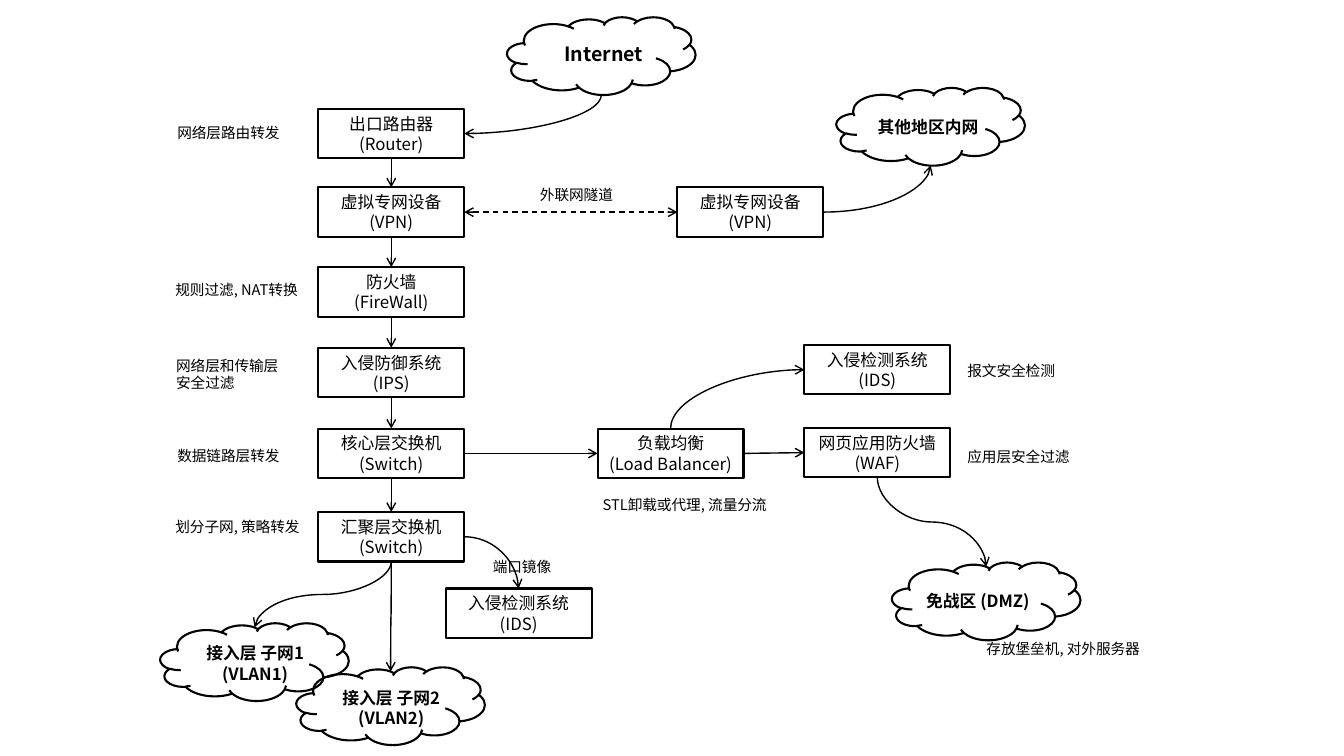
from lxml import etree
from pptx import Presentation
from pptx.dml.color import RGBColor
from pptx.enum.dml import MSO_LINE
from pptx.enum.shapes import MSO_CONNECTOR, MSO_SHAPE
from pptx.enum.text import MSO_ANCHOR, PP_ALIGN
from pptx.oxml.ns import qn
from pptx.util import Cm, Pt

RECTANGLE, CLOUD = MSO_SHAPE.RECTANGLE, MSO_SHAPE.CLOUD
STRAIGHT, CURVE = MSO_CONNECTOR.STRAIGHT, MSO_CONNECTOR.CURVE
LEFT, CENTER = PP_ALIGN.LEFT, PP_ALIGN.CENTER
MIDDLE = MSO_ANCHOR.MIDDLE
DASH = MSO_LINE.DASH
TOP_SIDE, LEFT_SIDE, BOTTOM_SIDE, RIGHT_SIDE = range(4)
QUARTER_TURN = "5400000"


class NetworkDiagram:
    font_name = "Noto Sans CJK SC"
    colors = {"ink": "000000"}

    def __init__(self, slide):
        self.slide = slide
        self.ink = RGBColor.from_string(self.colors["ink"])

    def set_text(self, shape, text, size, bold=False, align=LEFT):
        text_frame = shape.text_frame
        text_frame.word_wrap = True
        text_frame.text = text
        for paragraph in text_frame.paragraphs:
            paragraph.alignment = align
            for run in paragraph.runs:
                run.font.size = Pt(size)
                run.font.bold = bold
                run.font.color.rgb = self.ink
                run.font.name = self.font_name
                properties = run._r.get_or_add_rPr()
                etree.SubElement(properties, qn("a:ea"), typeface=self.font_name)

    def outline(self, kind, left, top, width, height):
        shape = self.slide.shapes.add_shape(kind, Cm(left), Cm(top), Cm(width), Cm(height))
        shape.shadow.inherit = False
        shape.fill.background()
        shape.line.color.rgb = self.ink
        shape.line.width = Pt(1.5)
        return shape

    def device(self, text, left, top):
        shape = self.outline(RECTANGLE, left, top, 3.68, 1.25)
        shape.text_frame.vertical_anchor = MIDDLE
        self.set_text(shape, text, 12, align=CENTER)
        return shape

    def label(self, text, left, top, width=4.11, height=0.73, size=10.5, bold=False, align=LEFT):
        box = self.slide.shapes.add_textbox(Cm(left), Cm(top), Cm(width), Cm(height))
        self.set_text(box, text, size, bold, align)
        return box

    def cloud(self, text, left, top, text_left, text_top, text_height=0.76, size=12, align=LEFT):
        shape = self.outline(CLOUD, left, top, 4.75, 1.96)
        caption = self.label(text, text_left, text_top, 3.76, text_height, size, True, align)
        self.slide.shapes.add_group_shape([shape, caption])
        return shape

    def finish(self, connector, both_ends=False):
        connector.line.color.rgb = self.ink
        connector.line.width = Pt(1)
        line = connector.line._get_or_add_ln()
        for end in ("a:headEnd", "a:tailEnd") if both_ends else ("a:tailEnd",):
            etree.SubElement(line, qn(end), type="arrow")
        etree.SubElement(connector._element.spPr, qn("a:effectLst"))

    def arrow(self, source, source_side, target, target_side, dashed=False):
        connector = self.slide.shapes.add_connector(STRAIGHT, 0, 0, 0, 0)
        connector.begin_connect(source, source_side)
        connector.end_connect(target, target_side)
        if dashed:
            connector.line.dash_style = DASH
        self.finish(connector, both_ends=dashed)

    def side_point(self, shape, side):
        middle_x = shape.left + shape.width // 2
        middle_y = shape.top + shape.height // 2
        top_inset = Cm(0.11) if shape.auto_shape_type == CLOUD else 0
        return (
            (middle_x, shape.top + top_inset),
            (shape.left, middle_y),
            (middle_x, shape.top + shape.height),
            (shape.left + shape.width, middle_y),
        )[side]

    def curve(self, source, source_side, target, target_side):
        x1, y1 = self.side_point(source, source_side)
        x2, y2 = self.side_point(target, target_side)
        starts_vertical = source_side in (TOP_SIDE, BOTTOM_SIDE)
        ends_vertical = target_side in (TOP_SIDE, BOTTOM_SIDE)
        if starts_vertical:
            middle_x, middle_y = (x1 + x2) // 2, (y1 + y2) // 2
            half_x, half_y = (y2 - y1) // 2, (x1 - x2) // 2
            x1, y1 = middle_x - half_x, middle_y - half_y
            x2, y2 = middle_x + half_x, middle_y + half_y
        connector = self.slide.shapes.add_connector(CURVE, x1, y1, x2, y2)
        properties = connector._element.spPr
        if starts_vertical:
            properties.find(qn("a:xfrm")).set("rot", QUARTER_TURN)
        if starts_vertical != ends_vertical:
            properties.find(qn("a:prstGeom")).set("prst", "curvedConnector2")
        self.finish(connector)


def main():
    presentation = Presentation()
    presentation.slide_width, presentation.slide_height = Cm(33.87), Cm(19.05)
    diagram = NetworkDiagram(presentation.slides.add_slide(presentation.slide_layouts[6]))

    internet = diagram.cloud("Internet", 12.78, 0.43, 13.97, 0.94, 0.86, 14)
    other_region = diagram.cloud("其他地区内网", 21.08, 2.21, 21.87, 2.82)
    dmz = diagram.cloud("免战区 (DMZ)", 22.48, 14.17, 23.09, 14.76)
    vlan1 = diagram.cloud("接入层 子网1 (VLAN1)", 4.04, 15.7, 4.55, 16.08, 1.27, align=CENTER)
    vlan2 = diagram.cloud("接入层 子网2 (VLAN2)", 7.47, 16.81, 7.98, 17.2, 1.27, align=CENTER)

    backbone = [
        diagram.device(text, 8.02, top)
        for text, top in (
            ("出口路由器 (Router)", 2.74),
            ("虚拟专网设备\n(VPN)", 4.72),
            ("防火墙\n(FireWall)", 6.73),
            ("入侵防御系统\n(IPS)", 8.76),
            ("核心层交换机\n(Switch)", 10.8),
            ("汇聚层交换机\n(Switch)", 12.9),
        )
    ]
    router, vpn, firewall, ips, core_switch, access_switch = backbone
    remote_vpn = diagram.device("虚拟专网设备\n(VPN)", 17.07, 4.72)
    balancer = diagram.device("负载均衡\n(Load Balancer)", 15.06, 10.8)
    waf = diagram.device("网页应用防火墙\n(WAF)", 20.27, 10.78)
    ids = diagram.device("入侵检测系统\n(IDS)", 20.27, 8.69)
    mirror_ids = diagram.device("入侵检测系统\n(IDS)", 11.23, 14.83)

    for upper, lower in zip(backbone, backbone[1:]):
        diagram.arrow(upper, BOTTOM_SIDE, lower, TOP_SIDE)
    diagram.arrow(vpn, RIGHT_SIDE, remote_vpn, LEFT_SIDE, dashed=True)
    diagram.arrow(core_switch, RIGHT_SIDE, balancer, LEFT_SIDE)
    diagram.arrow(balancer, RIGHT_SIDE, waf, LEFT_SIDE)

    diagram.curve(internet, BOTTOM_SIDE, router, RIGHT_SIDE)
    diagram.curve(remote_vpn, RIGHT_SIDE, other_region, BOTTOM_SIDE)
    diagram.curve(balancer, TOP_SIDE, ids, LEFT_SIDE)
    diagram.curve(waf, BOTTOM_SIDE, dmz, TOP_SIDE)
    diagram.curve(access_switch, RIGHT_SIDE, mirror_ids, TOP_SIDE)
    for vlan in (vlan1, vlan2):
        diagram.curve(access_switch, BOTTOM_SIDE, vlan, TOP_SIDE)

    for text, left, top in (
        ("网络层路由转发", 4.22, 3),
        ("规则过滤, NAT转换", 4.17, 6.96),
        ("网络层和传输层\n安全过滤", 4.19, 8.86),
        ("数据链路层转发", 4.22, 11.13),
        ("划分子网, 策略转发", 4.17, 12.93),
        ("报文安全检测", 24.13, 8.99),
        ("应用层安全过滤", 24.13, 11.15),
    ):
        diagram.label(text, left, top, height=0.73 + 0.46 * text.count("\n"))
    diagram.label("STL卸载或代理, 流量分流", 14.94, 12.37, 5.08)
    diagram.label("存放堡垒机, 对外服务器", 24.61, 16, 5.08)
    diagram.label("端口镜像", 12.17, 13.94, 2.21)
    diagram.label("外联网隧道", 12.93, 4.57, 3.2, align=CENTER)

    presentation.save("out.pptx")


if __name__ == "__main__":
    main()
